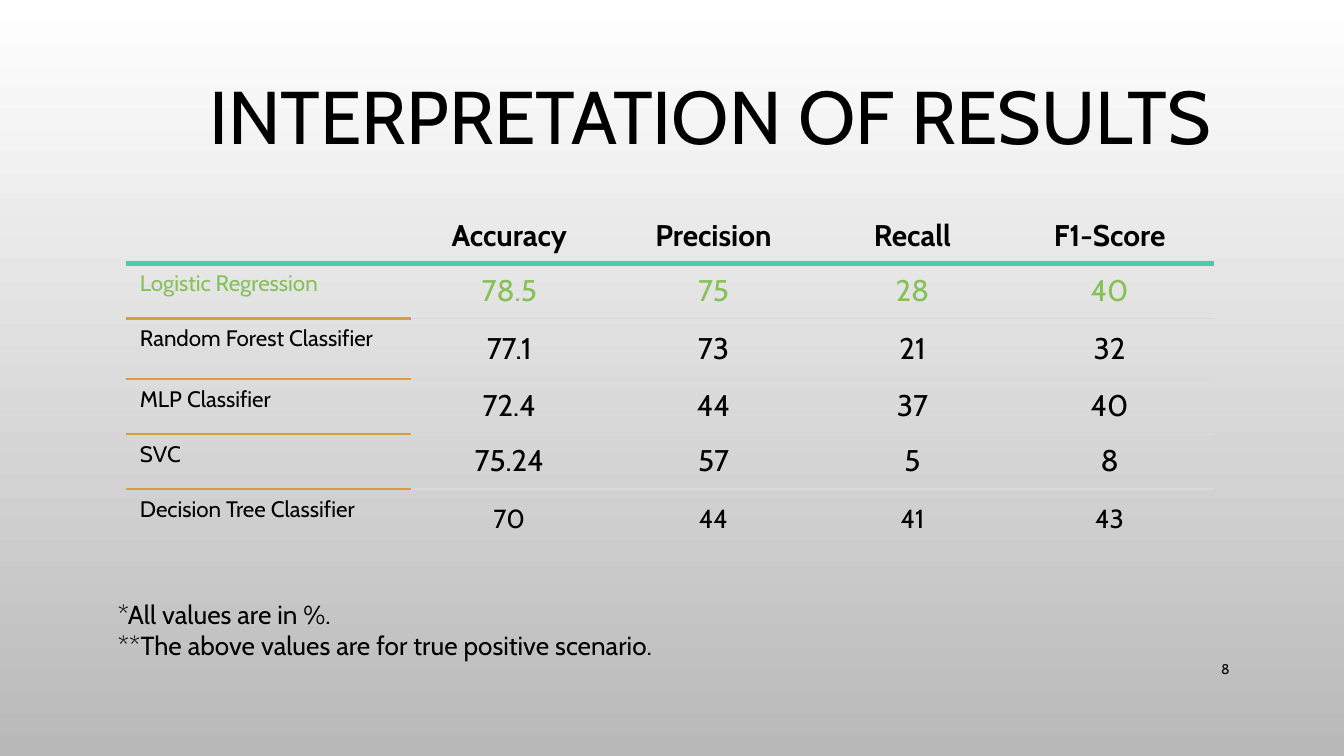
import pptx
import pptx.dml.color
import pptx.enum.text
import pptx.oxml
import pptx.oxml.ns
import pptx.util

Cm = pptx.util.Cm
Pt = pptx.util.Pt
ALIGN = pptx.enum.text.PP_ALIGN
ANCHOR = pptx.enum.text.MSO_ANCHOR

FONT = "Cabin"
BLACK, GREEN = "000000", "86C157"
TEAL, GOLD, GREY = ("4BCAAD", 3), ("D99C3F", 1.5), ("D9D9D9", 1)

HEADS = ["", "Accuracy", "Precision", "Recall", "F1-Score"]
SCORES = [
    ["Logistic Regression", "78.5", "75", "28", "40"],
    ["Random Forest Classifier", "77.1", "73", "21", "32"],
    ["MLP Classifier", "72.4", "44", "37", "40"],
    ["SVC", "75.24", "57", "5", "8"],
    ["Decision Tree Classifier", "70", "44", "41", "43"],
]
WIDTHS = [5.38, 3.71, 4.01, 3.51, 3.94]
HEIGHTS = [1.04, 1.04, 1.14, 1.04, 1.04, 1.14]


def color(code):
    return pptx.dml.color.RGBColor.from_string(code)


def write(frame, text, size, align, tint=BLACK, bold=False, space=None):
    """Fill a text frame with one styled paragraph."""
    frame.text = text
    line = frame.paragraphs[0]
    line.alignment = align
    line.line_spacing = space
    style = {"name": FONT, "size": Pt(size), "bold": bold}
    for run in line.runs:
        for key, value in style.items():
            setattr(run.font, key, value)
        run.font.color.rgb = color(tint)


def place(shape, left, top, width, height):
    spot = {"left": left, "top": top, "width": width, "height": height}
    for key, value in spot.items():
        setattr(shape, key, Cm(value))


def add_note(slide, box, text, size, align, anchor):
    shape = slide.shapes.add_textbox(*(Cm(n) for n in box))
    shape.text_frame.word_wrap = True
    shape.text_frame.vertical_anchor = anchor
    write(shape.text_frame, text, size, align)


def rule(cell, side, line):
    """Draw one cell border, or clear it when line is None."""
    space = pptx.oxml.ns.nsdecls("a")
    if line:
        tint, width = line
        xml = (f'<a:ln{side} {space} w="{Pt(width)}"><a:solidFill>'
               f'<a:srgbClr val="{tint}"/></a:solidFill></a:ln{side}>')
    else:
        xml = f'<a:ln{side} {space} w="0"><a:noFill/></a:ln{side}>'
    cell._tc.get_or_add_tcPr().append(pptx.oxml.parse_xml(xml))


def edge(row, col):
    """Give the line that lies under a row."""
    if row == 0:
        return TEAL
    if row < 0 or row == len(SCORES):
        return None
    return GREY if col else GOLD


def add_scores(slide):
    rows = [HEADS] + SCORES
    frame = slide.shapes.add_table(
        len(rows), len(HEADS), Cm(2.39), Cm(3.94),
        Cm(sum(WIDTHS)), Cm(sum(HEIGHTS)))
    table = frame.table
    table.first_row = table.horz_banding = False
    for col, width in zip(table.columns, WIDTHS):
        col.width = Cm(width)
    for row, height in zip(table.rows, HEIGHTS):
        row.height = Cm(height)

    for r, texts in enumerate(rows):
        for c, text in enumerate(texts):
            cell = table.cell(r, c)
            lines = {"L": None, "R": None, "T": edge(r - 1, c), "B": edge(r, c)}
            for side, line in lines.items():
                rule(cell, side, line)
            cell.fill.background()
            cell.vertical_anchor = ANCHOR.MIDDLE if c else ANCHOR.TOP
            size = 12 if c == 0 else 14 if r == len(SCORES) else 16
            write(cell.text_frame, text, size,
                  ALIGN.CENTER if c else ALIGN.LEFT,
                  GREEN if r == 1 else BLACK, bold=r == 0)


def shade(slide):
    """Fade the background from white down to grey."""
    fill = slide.background.fill
    fill.gradient()
    fill.gradient_angle = 270
    for stop, tint, spot in zip(fill.gradient_stops, ("FFFFFF", "B9B9B9"), (0, 1)):
        stop.color.rgb = color(tint)
        stop.position = spot


def main():
    deck = pptx.Presentation()
    deck.slide_width, deck.slide_height = Cm(25.4), Cm(14.29)
    slide = deck.slides.add_slide(deck.slide_layouts[5])
    shade(slide)

    # Title
    title = slide.shapes.title
    place(title, 2.72, 0.97, 21.41, 2.62)
    title.text_frame.vertical_anchor = ANCHOR.MIDDLE
    write(title.text_frame, "INTERPRETATION OF RESULTS", 40, ALIGN.CENTER, space=0.9)

    # Page number, table and footnotes
    add_note(slide, (21.89, 12.27, 1.6, 0.76), "8", 7.5, ALIGN.RIGHT, ANCHOR.MIDDLE)
    add_scores(slide)
    add_note(slide, (1.98, 11.18, 19.28, 1.45),
             "*All values are in %.\v**The above values are for true positive scenario.",
             14, ALIGN.LEFT, ANCHOR.TOP)

    deck.save("out.pptx")


if __name__ == "__main__":
    main()
